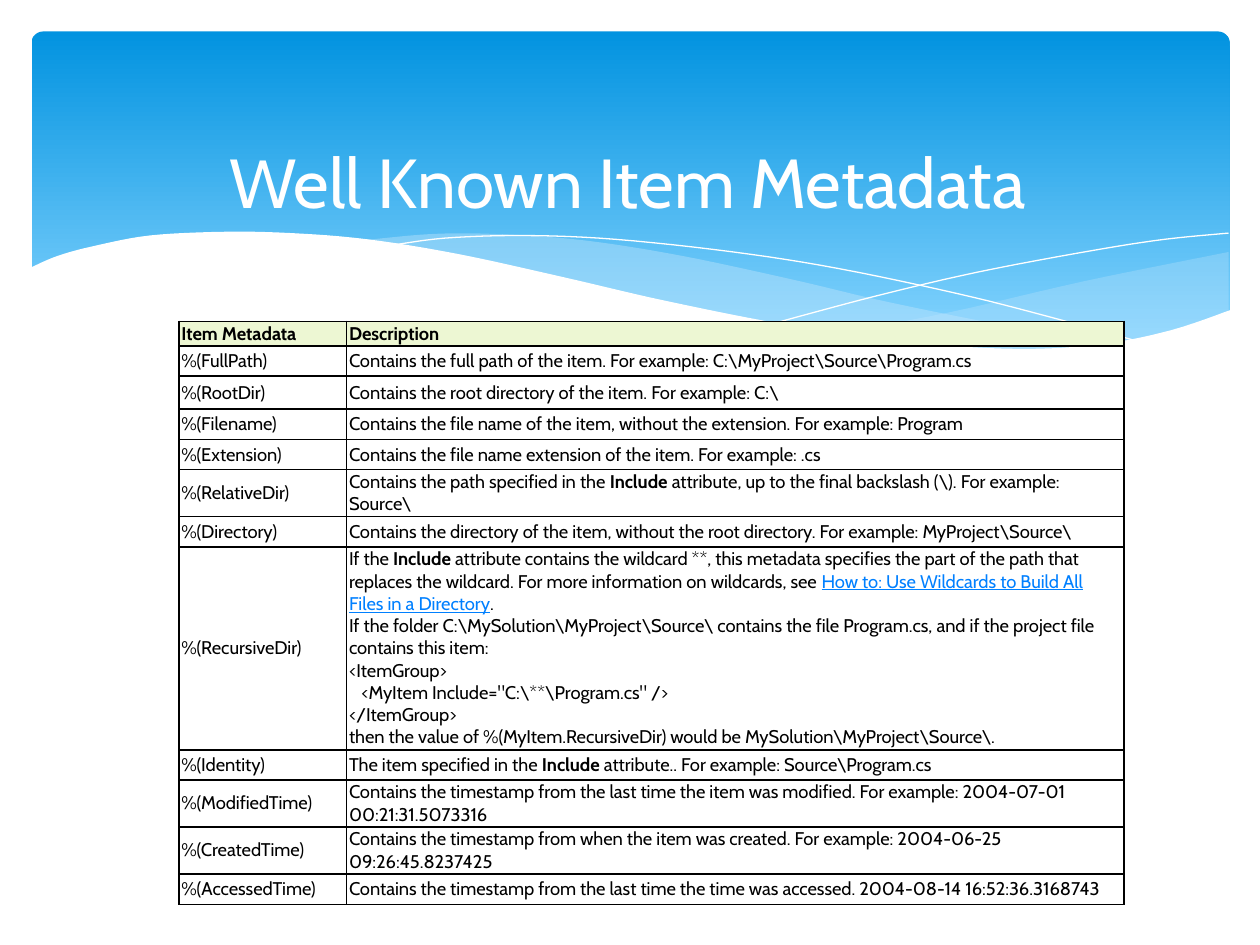
from pptx import Presentation
from pptx.dml.color import RGBColor
from pptx.enum.shapes import MSO_SHAPE as Shape
from pptx.enum.text import MSO_ANCHOR as Anchor, PP_ALIGN as Align
from pptx.oxml import parse_xml
from pptx.oxml.ns import nsdecls
from pptx.util import Pt
from lxml.etree import SubElement

FONT = "Cabin"
BLACK, WHITE, LINK_BLUE, HEADER_GREEN, PALE_BLUE = "000000", "FFFFFF", "0080FF", "EDF7D3", "C6E7FC"
INCLUDE = ("Include", "bold")
WILDCARD_LINK = ("How to: Use Wildcards to Build All Files in a Directory", "link")

RIGHT_WAVE = [
    [(702, 144), (620, 160.6), (542, 178.6), (476, 190.8)],
    [(476, 190.8), (527, 197.3), (578, 200.2), (628, 197.3), (668, 189.4), (702, 177.8)],
]
MIDDLE_WAVE = [
    [(643, 196.6), (581, 187.2), (508.3, 172.8), (453, 159.8), (389.5, 146.2), (334.8, 137.5),
     (287.3, 133.9), (247.7, 133.7), (206, 137.5)],
    [(206, 137.5), (260.6, 146.2), (323.3, 159.8), (407.5, 178.6), (468, 190.1), (519.8, 197.3),
     (573, 200.2), (610.6, 199.4), (643, 196.6)],
]
FALLING_LINE = [
    [(222.5, 140.4), (254.2, 136.1), (299.5, 134.6), (352, 136.8), (419, 144), (478.8, 153.4),
     (547.2, 167.8), (598.3, 180.7), (653, 195.8)],
]
RISING_LINE = [
    [(441.4, 185), (500.4, 169.2), (558.7, 155.5), (623.5, 143.3), (665.3, 136.8), (702, 133.2)],
]
WHITE_WAVE = [
    [(703.4, 177.1), (669.6, 188.6), (630, 196.6), (582.5, 199.4), (522.7, 195.8), (450.7, 185.8),
     (381, 172.1), (321.8, 158.4), (262.8, 145.4), (210.2, 136.8), (165.6, 133.2), (127.4, 132.5),
     (85.7, 134.6), (54.7, 140.4), (33.1, 146.2), (16.6, 153.4)],
    [(16.6, 236.9), (703.4, 236.9)],
]

COLUMN_WIDTHS = [95.8, 444.2]
TABLE_ROWS = [
    (14.2, "Item Metadata", ["Description"]),
    (17.2, "%(FullPath)",
     [r"Contains the full path of the item. For example: C:\MyProject\Source\Program.cs"]),
    (18.8, "%(RootDir)", ["Contains the root directory of the item. For example: C:\\"]),
    (17.5, "%(Filename)",
     ["Contains the file name of the item, without the extension. For example: Program"]),
    (17.2, "%(Extension)", ["Contains the file name extension of the item. For example: .cs"]),
    (26.9, "%(RelativeDir)",
     [["Contains the path specified in the ", INCLUDE,
       " attribute, up to the final backslash (\\). For example: Source\\"]]),
    (17.2, "%(Directory)",
     ["Contains the directory of the item, without the root directory. "
      "For example: MyProject\\Source\\"]),
    (116, "%(RecursiveDir)",
     [["If the ", INCLUDE,
       " attribute contains the wildcard **, this metadata specifies the part of the path that "
       "replaces the wildcard. For more information on wildcards, see ", WILDCARD_LINK, "."],
      r"If the folder C:\MySolution\MyProject\Source\ contains the file Program.cs, "
      "and if the project file contains this item:",
      "<ItemGroup>",
      r'   <MyItem Include="C:\**\Program.cs" />',
      "</ItemGroup>",
      r"then the value of %(MyItem.RecursiveDir) would be MySolution\MyProject\Source\."]),
    (17.2, "%(Identity)",
     [["The item specified in the ", INCLUDE,
       r" attribute.. For example: Source\Program.cs"]]),
    (26.9, "%(ModifiedTime)",
     ["Contains the timestamp from the last time the item was modified. "
      "For example: 2004-07-01 00:21:31.5073316"]),
    (26.9, "%(CreatedTime)",
     ["Contains the timestamp from when the item was created. "
      "For example: 2004-06-25 09:26:45.8237425"]),
    (17.5, "%(AccessedTime)",
     ["Contains the timestamp from the last time the time was accessed. "
      "2004-08-14 16:52:36.3168743"]),
]


def color(hex_code):
    """Return the colour for a hex string."""
    return RGBColor.from_string(hex_code)


def smooth(knots, steps=6):
    """Return points on a Catmull-Rom curve through the knots."""
    if len(knots) < 3:
        return knots
    padded = [knots[0], *knots, knots[-1]]
    points = [knots[0]]
    for before, start, end, after in zip(padded, padded[1:], padded[2:], padded[3:]):
        for step in range(1, steps + 1):
            t = step / steps
            points.append(tuple(
                (2 * b + (c - a) * t + (2 * a - 5 * b + 4 * c - d) * t ** 2
                 + (3 * b - a - 3 * c + d) * t ** 3) / 2
                for a, b, c, d in zip(before, start, end, after)))
    return points


def add_curve(slide, edges, closed):
    """Add a freeform whose edges are each smoothed."""
    points = [(Pt(x), Pt(y)) for edge in edges for x, y in smooth(edge)]
    builder = slide.shapes.build_freeform(*points[0])
    builder.add_line_segments(points[1:], close=closed)
    shape = builder.convert_to_shape()
    shape.shadow.inherit = False
    return shape


def add_wave(slide, edges, fill, opacity=100):
    """Add a filled wave without an outline."""
    shape = add_curve(slide, edges, True)
    shape.line.fill.background()
    shape.fill.solid()
    shape.fill.fore_color.rgb = color(fill)
    if opacity < 100:
        srgb = shape.fill._xPr.solidFill.srgbClr
        SubElement(srgb, srgb.tag.replace("srgbClr", "alpha"), val=str(opacity * 1000))


def add_hairline(slide, edges):
    """Add a thin white curve."""
    shape = add_curve(slide, edges, False)
    shape.fill.background()
    shape.line.color.rgb = color(WHITE)
    shape.line.width = Pt(0)


def add_banner(slide):
    """Add the rounded panel with a vertical gradient."""
    shape = slide.shapes.add_shape(Shape.ROUNDED_RECTANGLE, Pt(18), Pt(18), Pt(684.7), Pt(194.4))
    shape.adjustments[0] = 0.034
    shape.shadow.inherit = False
    shape.line.fill.background()
    shape.fill.gradient()
    shape.fill.gradient_angle = 270
    for stop, position, hex_code in zip(shape.fill.gradient_stops, (0, 0.9), ("0293E0", "83D3FE")):
        stop.position = position
        stop.color.rgb = color(hex_code)


def add_title(slide, text):
    """Add the centred white title."""
    frame = slide.shapes.add_textbox(Pt(82), Pt(80.6), Pt(553), Pt(45.4)).text_frame
    frame.word_wrap = True
    frame.vertical_anchor = Anchor.MIDDLE
    paragraph = frame.paragraphs[0]
    paragraph.text = text
    paragraph.alignment = Align.CENTER
    font = paragraph.font
    font.name, font.size, font.color.rgb = FONT, Pt(39.6), color(WHITE)


def write_paragraph(paragraph, content, bold):
    """Write a string, or a list of strings and styled runs."""
    for piece in [content] if isinstance(content, str) else content:
        text, style = (piece, None) if isinstance(piece, str) else piece
        run = paragraph.add_run()
        run.text = text
        if style == "bold":
            run.font.bold = True
        elif style == "link":
            run.font.underline = True
            run.font.color.rgb = color(LINK_BLUE)
    font = paragraph.font
    font.name, font.size, font.bold, font.color.rgb = FONT, Pt(10.5), bold, color(BLACK)


def fill_cell(cell, contents, header):
    """Write the paragraphs of a cell and set its borders and fill."""
    cell.margin_left = cell.margin_right = Pt(1.5)
    cell.margin_top = cell.margin_bottom = Pt(0.7)
    cell.vertical_anchor = Anchor.MIDDLE
    for index, content in enumerate(contents):
        frame = cell.text_frame
        write_paragraph(frame.add_paragraph() if index else frame.paragraphs[0], content, header)
    for side in "LRTB":
        cell._tc.get_or_add_tcPr().append(parse_xml(
            f'<a:ln{side} {nsdecls("a")} w="{Pt(1)}"><a:solidFill><a:srgbClr val="{BLACK}"/>'
            f"</a:solidFill></a:ln{side}>"))
    if header:
        cell.fill.solid()
        cell.fill.fore_color.rgb = color(HEADER_GREEN)
    else:
        cell.fill.background()


def add_metadata_table(slide):
    """Add the table of item metadata."""
    height = sum(row[0] for row in TABLE_ROWS)
    table = slide.shapes.add_table(len(TABLE_ROWS), len(COLUMN_WIDTHS), Pt(102.2), Pt(183.6),
                                   Pt(sum(COLUMN_WIDTHS)), Pt(height)).table
    table.horz_banding = False
    for column, width in zip(table.columns, COLUMN_WIDTHS):
        column.width = Pt(width)
    for index, (row_height, name, description) in enumerate(TABLE_ROWS):
        table.rows[index].height = Pt(row_height)
        fill_cell(table.cell(index, 0), [name], index == 0)
        fill_cell(table.cell(index, 1), description, index == 0)


def main():
    """Build the slide and save it."""
    presentation = Presentation()
    presentation.slide_width, presentation.slide_height = Pt(720), Pt(540)
    slide = presentation.slides.add_slide(presentation.slide_layouts[6])
    add_banner(slide)
    add_wave(slide, RIGHT_WAVE, PALE_BLUE, 29)
    add_wave(slide, MIDDLE_WAVE, PALE_BLUE, 40)
    add_hairline(slide, FALLING_LINE)
    add_hairline(slide, RISING_LINE)
    add_wave(slide, WHITE_WAVE, WHITE)
    add_metadata_table(slide)
    add_title(slide, "Well Known Item Metadata")
    presentation.save("out.pptx")


if __name__ == "__main__":
    main()
